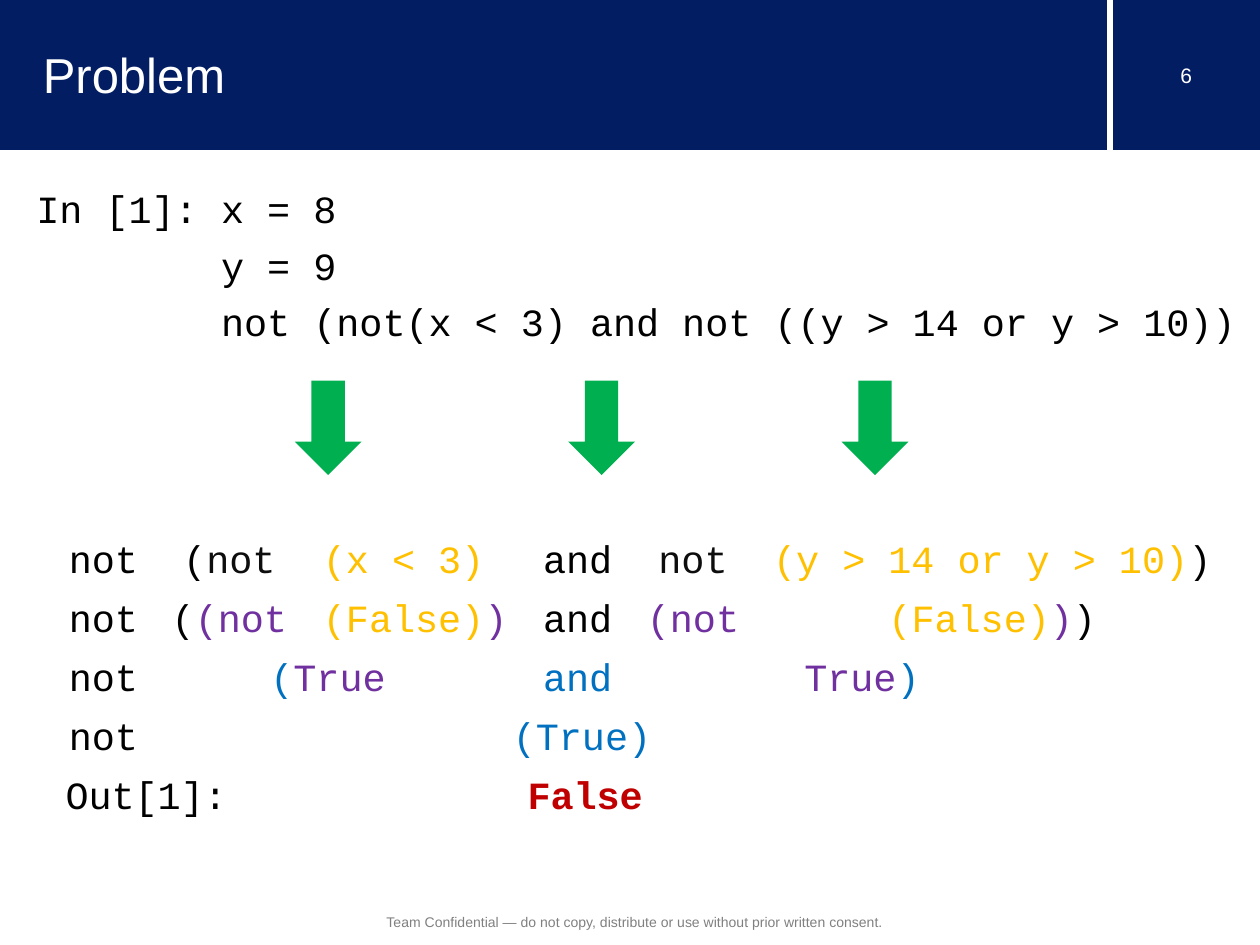
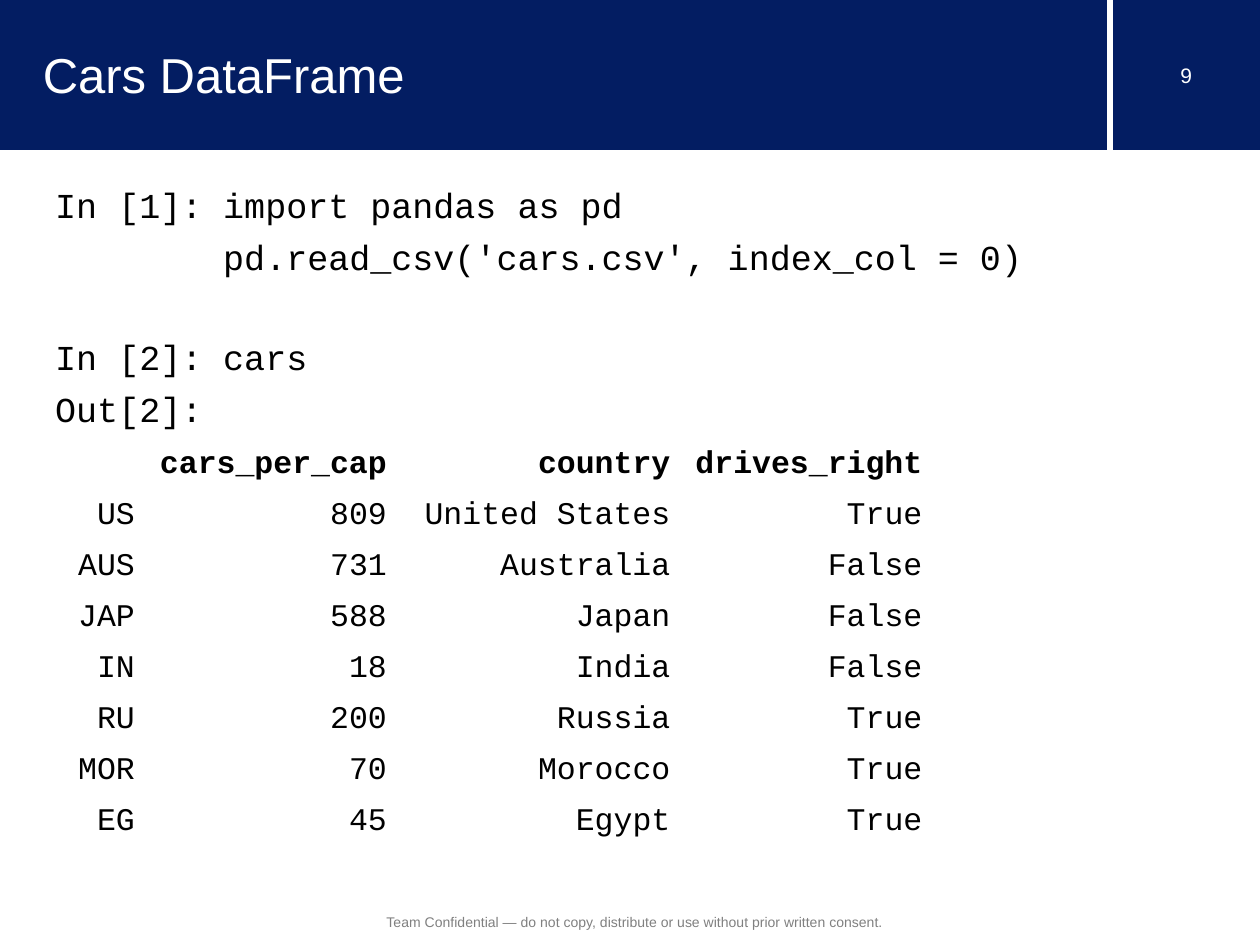
"""Builds two Python lesson slides: a Boolean problem and a cars DataFrame."""
from dataclasses import dataclass
from lxml import etree
from pptx import Presentation, util as u
from pptx.dml.color import RGBColor
from pptx.enum import shapes, text
from pptx.oxml.ns import qn


@dataclass(frozen=True)
class Theme:
    navy: str = "031D62"
    white: str = "FFFFFF"
    black: str = "000000"
    dark: str = "0D0D0D"
    gold: str = "FFC000"
    plum: str = "7030A0"
    blue: str = "0070C0"
    red: str = "C00000"
    green: str = "00B050"
    gray: str = "808080"
    sans: str = "Arial"
    mono: str = "Courier New"
    head: int = 28
    code: int = 22
    list: int = 20
    grid: int = 18
    page: int = 12
    foot: int = 8


T = Theme()
A = text.PP_ALIGN
L, C, R = A.LEFT, A.CENTER, A.RIGHT
WIDE, HIGH, BAND, EDGE = 10, 7.5, 1.19, 0.34
STOP = 8
NOTE = "Team Confidential — do not copy, distribute or use without prior written consent."

LOGIC = [["In [1]:\tx = 8", "\ty = 9",
          "\tnot (not(x < 3) and not ((y > 14 or y > 10))"]]
LOAD = [["In [1]:\timport pandas as pd",
         "\tpd.read_csv('cars.csv', index_col = 0)"],
        ["In [2]:\tcars", "Out[2]:"]]

NOT = (1, C, 0, [("not", T.black)])
AND = (1, C, 0, [("and", T.black)])
STEPS = [
    [NOT,
     (1, C, 0, [("(", T.black), ("not", T.dark)]),
     (1, C, 0, [("(x < 3) ", T.gold)]),
     AND,
     (1, C, 0, [("not", T.dark)]),
     (1, C, 0, [("(y > 14 or y > 10)", T.gold), (")", T.black)])],
    [NOT,
     (1, C, 0, [("(", T.black), ("(not", T.plum)]),
     (1, C, 0, [("(False)", T.gold), (")", T.plum)]),
     AND,
     (1, C, 0, [("(not", T.plum)]),
     (1, C, 0, [("(False)", T.gold), (")", T.plum), (")", T.black)])],
    [NOT,
     (2, C, 0, [("(", T.blue), ("True ", T.plum)]),
     (1, C, 0, [("and", T.blue)]),
     (2, L, 7, [("\tTrue", T.plum), (")", T.blue)])],
    [NOT, (5, L, 15, [("\t(True)", T.blue)])],
    [(6, L, 20, [("Out[1]:\t", T.black), ("False", T.red)])],
]
CARS = [
    ["", "cars_per_cap", "country", "drives_right"],
    ["US", "809", "United States", "True"],
    ["AUS", "731", "Australia", "False"],
    ["JAP", "588", "Japan", "False"],
    ["IN", "18", "India", "False"],
    ["RU", "200", "Russia", "True"],
    ["MOR", "70", "Morocco", "True"],
    ["EG", "45", "Egypt", "True"],
]


def box(*sizes):
    return [u.Inches(n) for n in sizes]


def ink(font, size, color, face):
    font.size, font.name = u.Pt(size), face
    font.color.rgb = RGBColor.from_string(color)


def tab(para, chars, size):
    """Set a tab stop after a number of monospaced characters."""
    stops = etree.Element(qn("a:tabLst"))
    etree.SubElement(stops, qn("a:tab"), pos=str(u.Pt(chars * size * 0.6)), algn="l")
    prop = para._p.get_or_add_pPr()
    spot = next((n for n, kid in enumerate(prop) if kid.tag == qn("a:defRPr")), len(prop))
    prop.insert(spot, stops)


def bare(frame):
    frame.margin_left = frame.margin_right = frame.margin_top = frame.margin_bottom = 0
    frame.word_wrap = True


def label(slide, words, place, size, color):
    frame = slide.shapes.add_textbox(*box(*place)).text_frame
    bare(frame)
    para = frame.paragraphs[0]
    para.text, para.alignment = words, C
    ink(para.font, size, color, T.sans)


def block(slide, kind, place, color):
    shape = slide.shapes.add_shape(kind, *box(*place))
    shape.shadow.inherit = False
    shape.fill.solid()
    shape.fill.fore_color.rgb = RGBColor.from_string(color)
    shape.line.fill.background()


def start(deck, title, page):
    """Add a slide with its title, band, page number and footer."""
    slide = deck.slides.add_slide(deck.slide_layouts[5])
    block(slide, shapes.MSO_SHAPE.RECTANGLE, (0, 0, WIDE, BAND), T.navy)
    rule = slide.shapes.add_connector(shapes.MSO_CONNECTOR.STRAIGHT,
                                      *box(8.81, 0, 8.81, BAND))
    rule.line.color.rgb = RGBColor.from_string(T.white)
    rule.line.width = u.Pt(3)
    etree.SubElement(rule._element.spPr, qn("a:effectLst"))
    label(slide, page, (8.83, 0.5, 1.17, 0.2), T.page, T.white)
    head = slide.shapes.title
    head.left, head.top, head.width, head.height = box(EDGE, 0.13, 8.14, 0.91)
    frame = head.text_frame
    bare(frame)
    frame.auto_size = text.MSO_AUTO_SIZE.NONE
    frame.vertical_anchor = text.MSO_ANCHOR.MIDDLE
    para = frame.paragraphs[0]
    para.text, para.alignment = title, L
    ink(para.font, T.head, T.white, T.sans)
    slide.shapes._spTree.append(head._element)
    label(slide, NOTE, (EDGE, 7.25, 9.4, 0.17), T.foot, T.gray)
    return slide


def code(slide, groups, place, size):
    """Write groups of code lines, one line of space between groups."""
    frame = slide.shapes.add_textbox(*box(*place)).text_frame
    frame.word_wrap = True
    para = None
    for group in groups:
        for row, line in enumerate(group):
            gap = 0.27 if row or para is None else 1.67
            para = frame.add_paragraph() if para else frame.paragraphs[0]
            para.add_run().text = line
            para.space_before = u.Pt(gap * size)
            ink(para.font, size, T.black, T.mono)
            tab(para, STOP, size)


def table(slide, rows, cols, left, top, tall):
    """Add a plain table without fills or header style."""
    place = box(left, top, sum(cols), tall * rows)
    grid = slide.shapes.add_table(rows, len(cols), *place).table
    grid.first_row = grid.horz_banding = False
    for col, wide in zip(grid.columns, cols):
        col.width = u.Inches(wide)
    for cell in grid.iter_cells():
        cell.fill.background()
    return grid


def logic(deck):
    slide = start(deck, "Problem", "6")
    code(slide, LOGIC, (0.19, 1.42, 9.82, 2), T.code)
    grid = table(slide, len(STEPS), [0.8, 1.2, 1.75, 0.83, 1, 3.75], 0.42, 4.25, 0.45)
    for row, parts in enumerate(STEPS):
        col = 0
        for span, align, stop, runs in parts:
            cell = grid.cell(row, col)
            if span > 1:
                cell.merge(grid.cell(row, col + span - 1))
            para = cell.text_frame.paragraphs[0]
            para.alignment = align
            if stop:
                tab(para, stop, T.code)
            for words, color in runs:
                run = para.add_run()
                run.text = words
                ink(run.font, T.code, color, T.mono)
                run.font.bold = color == T.red
            col += span
    for step in range(3):
        block(slide, shapes.MSO_SHAPE.DOWN_ARROW,
              (2.34 + 2.17 * step, 3.02, 0.53, 0.75), T.green)


def cars(deck):
    slide = start(deck, "Cars DataFrame", "9")
    code(slide, LOAD, (EDGE, 1.41, 9.16, 2.1), T.list)
    grid = table(slide, len(CARS), [0.67, 2, 2.25, 2], 0.5, 3.5, 0.405)
    for row, line in enumerate(CARS):
        for col, words in enumerate(line):
            cell = grid.cell(row, col)
            cell.margin_left = u.Inches(0.05)
            para = cell.text_frame.paragraphs[0]
            para.text, para.alignment = words, R
            ink(para.font, T.grid, T.black, T.mono)
            para.font.bold = row == 0


deck = Presentation()
deck.slide_width, deck.slide_height = box(WIDE, HIGH)
logic(deck)
cars(deck)
deck.save("out.pptx")
